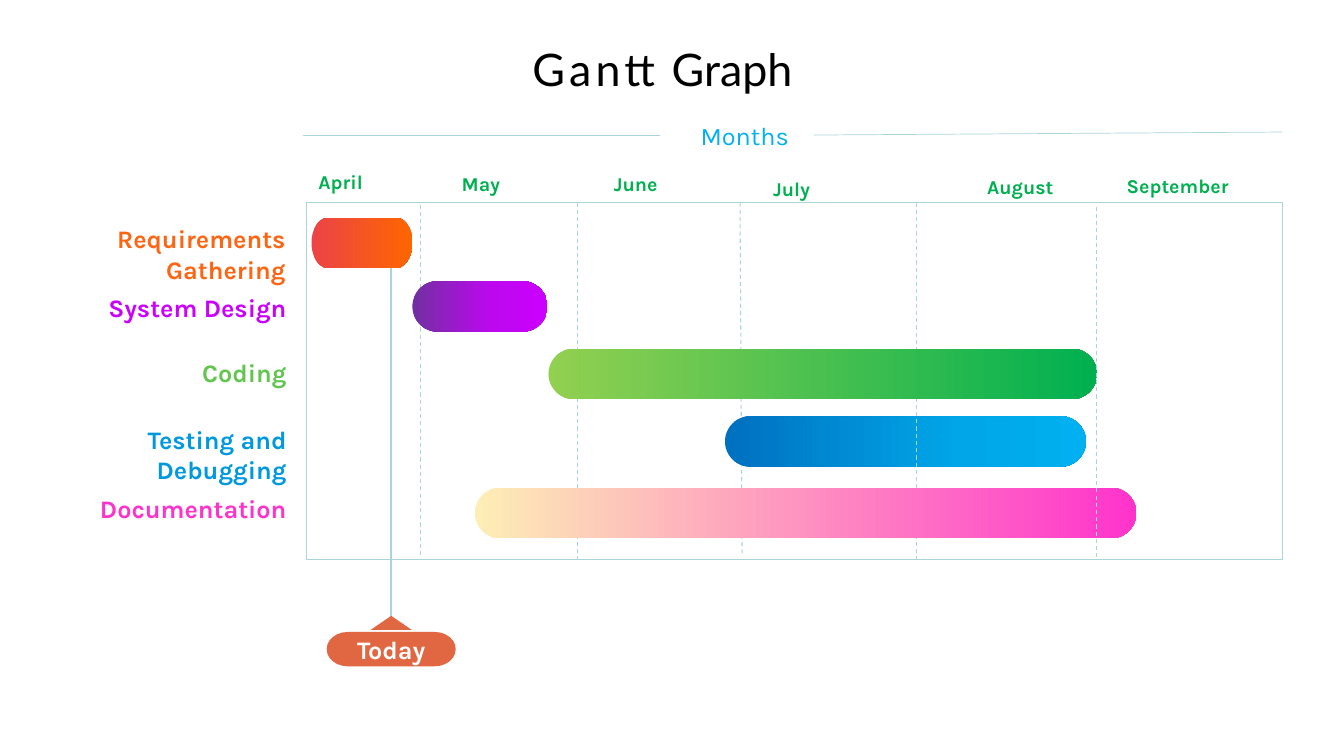
"""Build a Gantt chart slide with six months, five tasks and a marker for today."""
from copy import deepcopy

from pptx import Presentation
from pptx.dml.color import RGBColor
from pptx.enum.dml import MSO_LINE
from pptx.enum.shapes import MSO_CONNECTOR, MSO_SHAPE
from pptx.enum.text import MSO_ANCHOR, MSO_AUTO_SIZE, PP_ALIGN
from pptx.oxml.ns import qn
from pptx.util import Inches, Pt

BLACK = RGBColor(0, 0, 0)
WHITE = RGBColor(255, 255, 255)
PALE = RGBColor(0xA9, 0xD4, 0xDB)
RUST = RGBColor(0xE0, 0x67, 0x42)
GREEN = RGBColor(0x00, 0xB0, 0x50)
SKY = RGBColor(0x00, 0xB0, 0xF0)
RED = RGBColor(0xEB, 0x43, 0x47)
FLAME = RGBColor(0xFF, 0x66, 0x00)
AMBER = RGBColor(0xFE, 0x65, 0x13)
PLUM = RGBColor(0x70, 0x30, 0xA0)
GRAPE = RGBColor(0xBD, 0x08, 0xEF)
NEON = RGBColor(0xCC, 0x00, 0xFF)
MAUVE = RGBColor(0xCA, 0x01, 0xFD)
LIME = RGBColor(0x92, 0xD0, 0x50)
LEAF = RGBColor(0x62, 0xC5, 0x50)
NAVY = RGBColor(0x00, 0x70, 0xC0)
AZURE = RGBColor(0x00, 0xA6, 0xE8)
BLUE = RGBColor(0x00, 0x99, 0xDE)
CREAM = RGBColor(0xFD, 0xEE, 0xB5)
PINK = RGBColor(0xFF, 0x33, 0xCC)
ROSE = RGBColor(0xFE, 0x33, 0xCB)

LEFT, TOP, RIGHT, BASE = 30.4, 20.1, 127.2, 55.5
NOW = 38.8
THICK = 5
LEFT_AL, MID_AL, RIGHT_AL = PP_ALIGN.LEFT, PP_ALIGN.CENTER, PP_ALIGN.RIGHT


def grid(*cells):
    """Turn counts of tenth-inch cells into lengths."""
    return [Inches(cell / 10) for cell in cells]


def write(frame, text, size=18, color=BLACK, font="Karla", bold=False, align=LEFT_AL, gap=0):
    """Add a run to the first paragraph of a frame."""
    frame.word_wrap = True
    para = frame.paragraphs[0]
    para.alignment = align
    run = para.add_run()
    run.text = text
    run.font.size, run.font.name, run.font.bold = Pt(size), font, bold
    run.font.color.rgb = color
    if gap:
        run.font._element.set("spc", str(gap * 100))


deck = Presentation()
deck.slide_width, deck.slide_height = grid(133.3, 75)
slide = deck.slides.add_slide(deck.slide_layouts[5])
shapes = slide.shapes

title = shapes.title
title.left, title.top, title.width, title.height = grid(51.8, 3.6, 36.1, 6.4)
title.text_frame.vertical_anchor = MSO_ANCHOR.TOP
title.text_frame.auto_size = MSO_AUTO_SIZE.SHAPE_TO_FIT_TEXT
for text, size, gap in (("Gantt", 32, 3), (" ", 18, 0), ("Graph", 32, 0)):
    write(title.text_frame, text, size=size, font="Lato", gap=gap)

frame = shapes.add_shape(MSO_SHAPE.RECTANGLE, *grid(LEFT, TOP, RIGHT - LEFT, BASE - TOP))
frame.shadow.inherit = False
frame.fill.background()
frame.line.color.rgb, frame.line.width = PALE, Pt(0.75)

labels = [
    ("Requirements Gathering", 1.1, 21.7, 28.2, 18, AMBER, True, RIGHT_AL),
    ("System Design", 1.2, 28.5, 28.2, 18, MAUVE, True, RIGHT_AL),
    ("Coding", 1.2, 35, 28.2, 18, LEAF, True, RIGHT_AL),
    ("Testing and Debugging", 1.2, 41.6, 28.2, 18, BLUE, True, RIGHT_AL),
    ("Documentation", 1.2, 48.4, 28.2, 18, ROSE, True, RIGHT_AL),
    ("Months", 68.5, 11.4, 17.1, 18, SKY, False, LEFT_AL),
    ("April", 30.6, 16.4, 14.2, 14, GREEN, True, LEFT_AL),
    ("May", 44.8, 16.6, 13.6, 14, GREEN, True, LEFT_AL),
    ("June", 59.9, 16.6, 13.6, 14, GREEN, True, LEFT_AL),
    ("July", 75.7, 17.1, 13.6, 14, GREEN, True, LEFT_AL),
    ("August", 93.7, 16.9, 15, 14, GREEN, True, MID_AL),
    ("September", 109.3, 16.8, 15, 14, GREEN, True, MID_AL),
]
for text, x, y, wide, size, color, bold, align in labels:
    box = shapes.add_textbox(*grid(x, y, wide, 4 if size == 18 else 3.4)).text_frame
    box.auto_size = MSO_AUTO_SIZE.SHAPE_TO_FIT_TEXT
    write(box, text, size=size, color=color, bold=bold, align=align)

PILL, ROUND = MSO_SHAPE.FLOWCHART_TERMINATOR, MSO_SHAPE.ROUNDED_RECTANGLE
SOLID, DASH = None, MSO_LINE.DASH
parts = [
    ("line", 30.1, 13.4, 65.5, 13.4, 0.5, SOLID),
    ("line", 80.7, 13.4, RIGHT, 13.1, 0.5, SOLID),
    ("line", 41.7, 20.3, 41.7, BASE, 0.75, DASH),
    ("line", 57.3, TOP, 57.3, BASE, 0.75, DASH),
    ("line", 73.4, TOP, 73.6, 55.1, 0.75, DASH),
    ("bar", PILL, 30.9, 21.6, 10, ((0, RED), (1, FLAME))),
    ("bar", ROUND, 71.9, 41.3, 35.8, ((0, NAVY), (0.65, AZURE), (1, SKY))),
    ("bar", ROUND, 40.9, 27.9, 13.4, ((0, PLUM), (0.59, GRAPE), (1, NEON))),
    ("line", 90.9, TOP, 90.9, BASE, 0.75, DASH),
    ("bar", ROUND, 54.4, 34.6, 54.4, ((0, LIME), (1, GREEN))),
    ("bar", ROUND, 47.1, 48.4, 65.6, ((0, CREAM), (1, PINK))),
    ("line", NOW, 26.6, NOW, 61.1, 1.5, SOLID),
    ("line", 108.8, 20.5, 108.8, BASE, 0.75, DASH),
]
for kind, *rest in parts:
    if kind == "line":
        *ends, weight, dash = rest
        rule = shapes.add_connector(MSO_CONNECTOR.STRAIGHT, *grid(*ends))
        rule.line.color.rgb, rule.line.width = PALE, Pt(weight)
        if dash:
            rule.line.dash_style = dash
        props = rule._element.spPr
        props.append(props.makeelement(qn("a:effectLst"), {}))
    else:
        form, x, y, wide, stops = rest
        bar = shapes.add_shape(form, *grid(x, y, wide, THICK))
        bar.shadow.inherit = False
        bar.line.fill.background()
        if form == ROUND:
            bar.adjustments[0] = 0.5
        bar.fill.gradient()
        bar.fill.gradient_angle = 0
        ramp = bar._element.spPr.find(".//" + qn("a:gsLst"))
        for _ in stops[2:]:
            ramp.append(deepcopy(ramp[-1]))
        for stop, (place, color) in zip(bar.fill.gradient_stops, stops):
            stop.position, stop.color.rgb = place, color

for form, y, wide, high in ((PILL, 62.7, 12.8, 3.4), (MSO_SHAPE.ISOSCELES_TRIANGLE, 61.1, 4.1, 1.4)):
    mark = shapes.add_shape(form, *grid(NOW - wide / 2, y, wide, high))
    mark.shadow.inherit = False
    mark.fill.solid()
    mark.fill.fore_color.rgb = RUST
    mark.line.fill.background()
    if form == PILL:
        mark.text_frame.vertical_anchor = MSO_ANCHOR.MIDDLE
        write(mark.text_frame, "Today", color=WHITE, bold=True, align=MID_AL)

deck.save("out.pptx")
